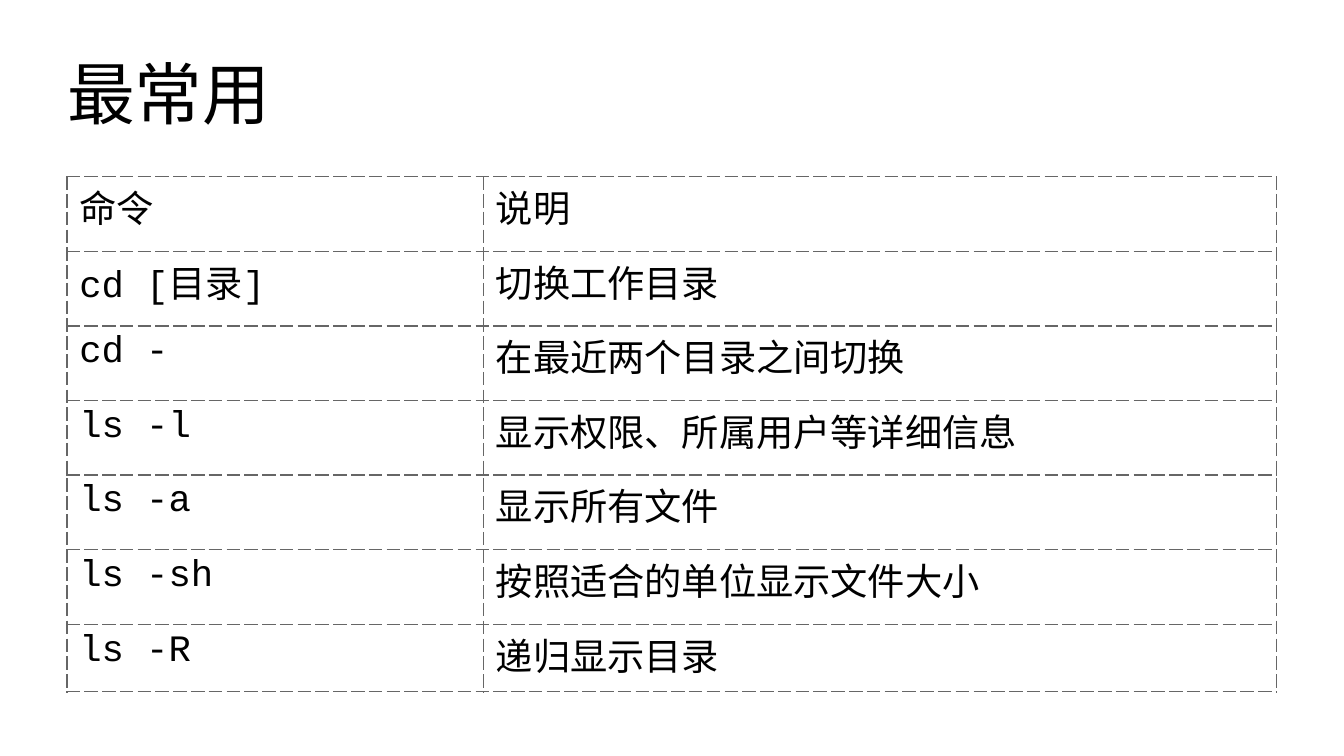
from pptx import Presentation
from pptx.dml.color import RGBColor
from pptx.enum.text import MSO_ANCHOR
from pptx.oxml import parse_xml
from pptx.oxml.ns import nsdecls
from pptx.oxml.xmlchemy import OxmlElement
from pptx.util import Inches, Pt

MIDDLE = MSO_ANCHOR.MIDDLE
BLACK = RGBColor(0x00, 0x00, 0x00)
GRAY = RGBColor(0x66, 0x66, 0x66)
EAST_ASIAN_FONT = "Noto Sans Mono"
TITLE_FONT = {"name": "Noto Sans Mono", "size": Pt(40)}
CELL_FONT = {"name": "Courier New", "size": Pt(22)}
BORDER_WIDTH = Pt(0.85)

COLUMN_WIDTHS = (3.42, 6.51)
ROW_HEIGHTS = (0.61,) * 6 + (0.55,)
COMMANDS = (
    ("命令", "说明"),
    ("cd [目录]", "切换工作目录"),
    ("cd -", "在最近两个目录之间切换"),
    ("ls -l", "显示权限、所属用户等详细信息"),
    ("ls -a", "显示所有文件"),
    ("ls -sh", "按照适合的单位显示文件大小"),
    ("ls -R", "递归显示目录"),
)


def write_text(text_frame, text, font_values):
    run = text_frame.paragraphs[0].add_run()
    run.text = text
    run.font.color.rgb = BLACK
    for name, value in font_values.items():
        setattr(run.font, name, value)
    east_asian = OxmlElement("a:ea")
    east_asian.set("typeface", EAST_ASIAN_FONT)
    run.font._element.append(east_asian)


def add_title(slide, left, top, width, height, text):
    box = slide.shapes.add_textbox(Inches(left), Inches(top), Inches(width), Inches(height))
    frame = box.text_frame
    frame.word_wrap = True
    frame.vertical_anchor = MIDDLE
    for side in ("left", "top", "right", "bottom"):
        setattr(frame, f"margin_{side}", 0)
    write_text(frame, text, TITLE_FONT)


def add_dashed_borders(cell):
    properties = cell._tc.get_or_add_tcPr()
    # Border lines must come before the fill
    for index, side in enumerate(("lnL", "lnR", "lnT", "lnB")):
        line = parse_xml(
            f'<a:{side} {nsdecls("a")} w="{BORDER_WIDTH}">'
            f'<a:solidFill><a:srgbClr val="{GRAY}"/></a:solidFill>'
            f'<a:prstDash val="dash"/></a:{side}>'
        )
        properties.insert(index, line)


def add_command_table(slide, left, top, width, height):
    frame = slide.shapes.add_table(
        len(COMMANDS), len(COLUMN_WIDTHS),
        Inches(left), Inches(top), Inches(width), Inches(height),
    )
    table = frame.table
    table.first_row = False
    table.horz_banding = False

    # Columns and rows share the box in fixed proportions
    for column, share in zip(table.columns, COLUMN_WIDTHS):
        column.width = Inches(width * share / sum(COLUMN_WIDTHS))
    for row, share in zip(table.rows, ROW_HEIGHTS):
        row.height = Inches(height * share / sum(ROW_HEIGHTS))

    # Cells
    for row, texts in zip(table.rows, COMMANDS):
        for cell, text in zip(row.cells, texts):
            cell.fill.background()
            add_dashed_borders(cell)
            write_text(cell.text_frame, text, CELL_FONT)


def main():
    presentation = Presentation()
    presentation.slide_width = Inches(11.02)
    presentation.slide_height = Inches(6.2)
    slide = presentation.slides.add_slide(presentation.slide_layouts[6])
    add_title(slide, 0.55, 0.25, 9.92, 1.01, "最常用")
    add_command_table(slide, 0.55, 1.45, 9.92, 4.22)
    presentation.save("out.pptx")


if __name__ == "__main__":
    main()
